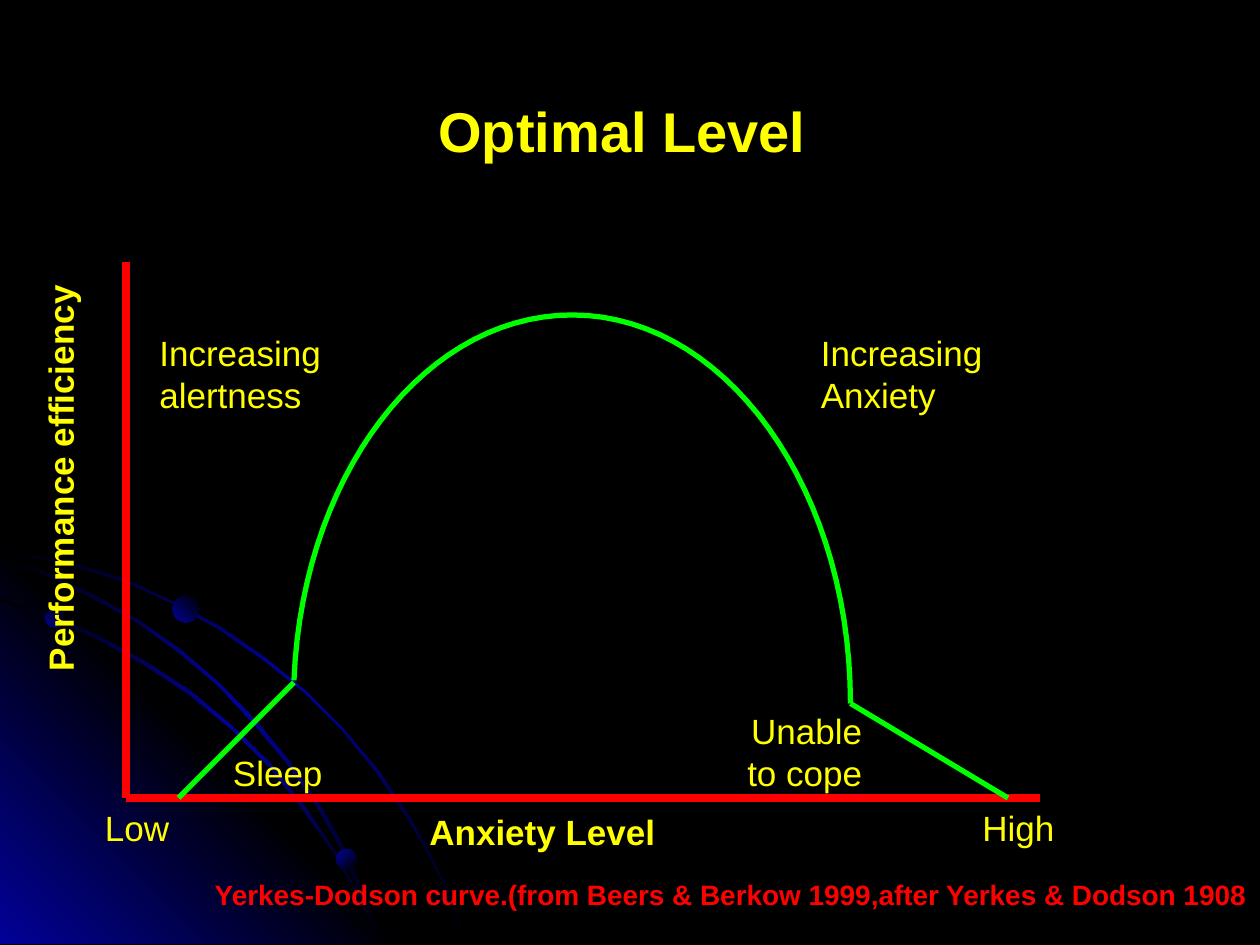
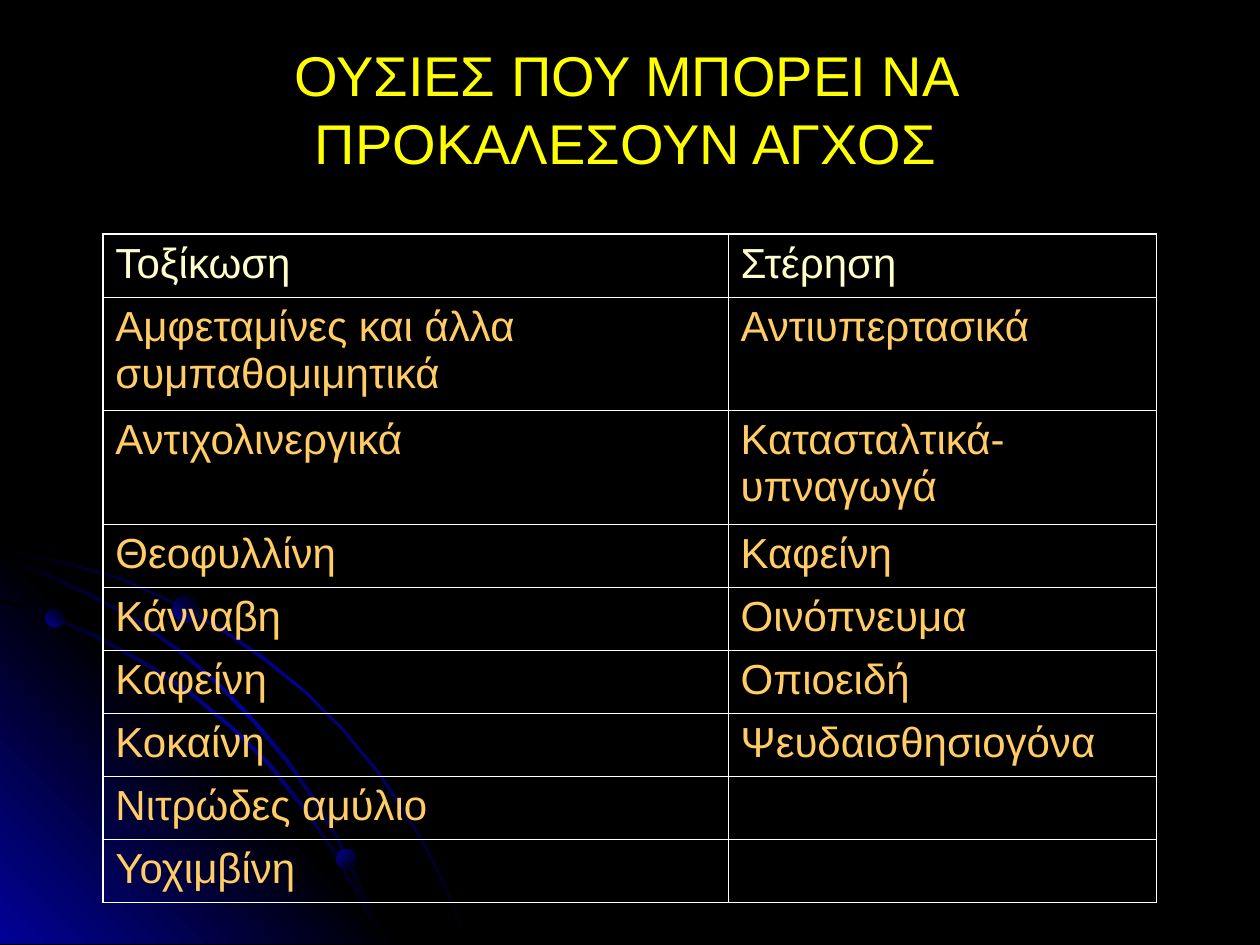
from lxml.etree import SubElement
from pptx import Presentation
from pptx.dml.color import RGBColor
from pptx.enum.shapes import MSO_CONNECTOR, MSO_SHAPE
from pptx.enum.text import MSO_ANCHOR, PP_ALIGN
from pptx.oxml import parse_xml
from pptx.oxml.ns import nsdecls, qn
from pptx.util import Inches, Pt

BLACK = RGBColor(0x00, 0x00, 0x00)
NAVY = RGBColor(0x01, 0x01, 0x99)
YELLOW = RGBColor(0xFF, 0xFF, 0x00)
RED = RGBColor(0xFF, 0x00, 0x00)
GREEN = RGBColor(0x00, 0xFF, 0x00)
CREAM = RGBColor(0xFF, 0xFF, 0xCC)
AMBER = RGBColor(0xFF, 0xCC, 0x66)
WHITE = RGBColor(0xFF, 0xFF, 0xFF)

# The slide is a grid of 120 columns by 90 rows; the backdrop uses 1000 by 750.
CELL = Inches(1) // 12
FINE = Inches(1) // 100

PLAIN = {"name": "Arial", "size": Pt(20), "bold": False}
BOLD = {**PLAIN, "bold": True}
TITLE = {**PLAIN, "size": Pt(32)}
NOTE = {**BOLD, "size": Pt(16)}
BODY = {**PLAIN, "size": Pt(24)}

LEFT, MID, RIGHT = PP_ALIGN.LEFT, PP_ALIGN.CENTER, PP_ALIGN.RIGHT


def shade(shape, tones, angle):
    """Fill a shape with evenly spaced gradient tones and no outline."""
    shape.shadow.inherit = False
    shape.line.fill.background()
    shape.fill.background()
    last = len(tones) - 1
    stops = "".join(
        f'<a:gs pos="{100000 * i // last}"><a:srgbClr val="{tone}"/></a:gs>'
        for i, tone in enumerate(tones))
    blank = shape.element.spPr.find(qn("a:noFill"))
    blank.getparent().replace(blank, parse_xml(
        f'<a:gradFill {nsdecls("a")} rotWithShape="1"><a:gsLst>{stops}</a:gsLst>'
        f'<a:lin ang="{angle * 60000}" scaled="0"/></a:gradFill>'))


def write(slide, area, lines, form=PLAIN, tone=YELLOW, align=RIGHT, wrap=False):
    """Add a text box on the grid, one paragraph for each line."""
    box = slide.shapes.add_textbox(*(round(n * CELL) for n in area))
    frame = box.text_frame
    frame.word_wrap = wrap
    for i, line in enumerate(lines):
        para = frame.add_paragraph() if i else frame.paragraphs[0]
        para.alignment = align
        run = para.add_run()
        run.text = line
        run.font.color.rgb = tone
        for key, value in form.items():
            setattr(run.font, key, value)
    return box


deck = Presentation()
deck.slide_width = 120 * CELL
deck.slide_height = 90 * CELL
layout = deck.slide_layouts[6]
for holder in list(layout.placeholders):
    holder.element.getparent().remove(holder.element)
layout.background.fill.solid()
layout.background.fill.fore_color.rgb = BLACK
graph = deck.slides.add_slide(layout)

# Shared backdrop: a blue corner, three orbits and their dots
GLOW = (BLACK, NAVY, BLACK)
orbits = [
    (GLOW, 45, [
        (57, 447), (28, 441), (0, 435), (0, 438), (28, 443), (56, 449), (97, 461),
        (135, 478), (173, 499), (208, 523), (241, 549), (271, 579), (298, 612),
        (323, 649), (337, 673), (350, 698), (360, 723), (370, 749), (372, 749),
        (362, 723), (352, 698), (339, 673), (325, 648), (300, 611), (272, 578),
        (242, 548), (209, 521), (174, 497), (136, 477), (98, 459)]),
    ((NAVY, BLACK, NAVY), 315, [(322, 749), (0, 749), (0, 427)]),
    (GLOW, 45, [
        (285, 714), (294, 732), (301, 749), (303, 749), (296, 730), (286, 712),
        (266, 676), (242, 640), (215, 606), (184, 576), (152, 549), (117, 526),
        (79, 505), (41, 488), (0, 475), (0, 477), (39, 490), (77, 507), (115, 528),
        (150, 551), (183, 578), (213, 608), (240, 642), (265, 677)]),
    (GLOW, 45, [
        (0, 442), (0, 444), (36, 457), (74, 475), (109, 494), (142, 518), (173, 544),
        (202, 575), (227, 605), (252, 641), (267, 667), (280, 694), (292, 722),
        (301, 749), (303, 749), (294, 720), (282, 693), (269, 665), (254, 639),
        (229, 603), (204, 573), (175, 543), (144, 516), (111, 493), (76, 473),
        (39, 455)]),
]
for tones, angle, points in orbits:
    pen = graph.shapes.build_freeform(*points[0], scale=FINE)
    pen.add_line_segments(points[1:], close=True)
    shade(pen.convert_to_shape(), tones, angle)

for x, y, size, angle in [(36, 483, 15, 315), (267, 674, 16, 45), (137, 473, 21, 315)]:
    dot = graph.shapes.add_shape(
        MSO_SHAPE.OVAL, x * FINE, y * FINE, size * FINE, size * FINE)
    shade(dot, (NAVY, BLACK), angle)

for shape in list(graph.shapes):
    layout.shapes.element.append(shape.element)

# Slide 1: axes, curve and labels
lines = [
    ((12, 25), (12, 76), RED, 4.5),
    ((12, 76), (99, 76), RED, 4.5),
    ((17, 76), (28, 65), GREEN, 3),
    ((81, 67), (96, 76), GREEN, 3),
]
for start, end, tone, width in lines:
    line = graph.shapes.add_connector(
        MSO_CONNECTOR.STRAIGHT, *(n * CELL for n in start + end))
    line.line.color.rgb = tone
    line.line.width = Pt(width)
    SubElement(line.element.spPr, qn("a:effectLst"))

arcs = [
    ((28, 64.8), (28.8, 45.2), (40.4, 30), (54.5, 30)),
    ((54.5, 30), (69.1, 30), (81, 46.5), (81, 67)),
]
STEPS = 30
curve = []
for arc in arcs:
    for step in range(STEPS + 1):
        t = step / STEPS
        parts = ((1 - t) ** 3, 3 * t * (1 - t) ** 2, 3 * t * t * (1 - t), t ** 3)
        curve.append(tuple(
            round(CELL * sum(k * n for k, n in zip(parts, axis))) for axis in zip(*arc)))
pen = graph.shapes.build_freeform(*curve[0])
pen.add_line_segments(curve[1:], close=False)
bell = pen.convert_to_shape()
bell.shadow.inherit = False
bell.fill.background()
bell.line.color.rgb = GREEN
bell.line.width = Pt(3)

write(graph, (39.5, 8.6, 39.5, 7.6), ["Optimal Level"], {**TITLE, "bold": True}, align=MID)
labels = [
    ((7.3, 76.2, 10, 5.2), ["Low"], PLAIN, YELLOW, RIGHT),
    ((90.6, 76.2, 11, 5.2), ["High"], PLAIN, YELLOW, RIGHT),
    ((37.6, 76.6, 26, 5.2), ["Anxiety Level"], BOLD, YELLOW, RIGHT),
    ((77, 31, 19, 9.1), ["Increasing", "Anxiety"], PLAIN, YELLOW, LEFT),
    ((14, 31, 19, 9.1), ["Increasing", "alertness"], PLAIN, YELLOW, LEFT),
    ((68.3, 67, 15, 9.1), ["Unable", "to cope"], PLAIN, YELLOW, RIGHT),
    ((18.9, 71, 13, 5.2), ["Sleep"], PLAIN, YELLOW, RIGHT),
    ((17.9, 83, 102, 4.3),
     ["Yerkes-Dodson curve.(from Beers & Berkow 1999,after Yerkes & Dodson 1908"],
     NOTE, RED, RIGHT),
]
for label in labels:
    write(graph, *label, wrap=True)

side = write(graph, (3.1, 26, 6.4, 38), ["Performance efficiency"], BOLD)
side.element.txBody.bodyPr.set("vert", "vert270")
frame = side.text_frame
for edge in ("left", "right", "top", "bottom"):
    setattr(frame, f"margin_{edge}", Inches(0.05))

# Slide 2: table of substances
drugs = deck.slides.add_slide(layout)
head = write(drugs, (8.1, 3.4, 103, 13.8), ["ΟΥΣΙΕΣ ΠΟΥ ΜΠΟΡΕΙ ΝΑ ΠΡΟΚΑΛΕΣΟΥΝ ΑΓΧΟΣ"],
             TITLE, align=MID, wrap=True)
head.text_frame.vertical_anchor = MSO_ANCHOR.MIDDLE

rows = [
    ("Τοξίκωση", "Στέρηση"),
    ("Αμφεταμίνες και άλλα συμπαθομιμητικά", "Αντιυπερτασικά"),
    ("Αντιχολινεργικά", "Κατασταλτικά-υπναγωγά"),
    ("Θεοφυλλίνη", "Καφείνη"),
    ("Κάνναβη", "Οινόπνευμα"),
    ("Καφείνη", "Οπιοειδή"),
    ("Κοκαίνη", "Ψευδαισθησιογόνα"),
    ("Νιτρώδες αμύλιο", ""),
    ("Υοχιμβίνη", ""),
]
TALL = (1, 2)
wide = [round(n * CELL) for n in (59.55, 40.8)]
high = [round((10.8 if r in TALL else 6) * CELL) for r in range(len(rows))]
grid = drugs.shapes.add_table(
    len(rows), 2, round(9.8 * CELL), round(22.3 * CELL), sum(wide), sum(high))
table = grid.table
table.first_row = table.horz_banding = False
for col, width in zip(table.columns, wide):
    col.width = width
for row, height in zip(table.rows, high):
    row.height = height

for i, (cell, node) in enumerate(zip(table.iter_cells(), grid.element.iter(qn("a:tc")))):
    r, c = divmod(i, 2)
    cell.fill.background()
    cell.text = rows[r][c]
    font = cell.text_frame.paragraphs[0].font
    font.color.rgb = AMBER if r else CREAM
    for key, value in BODY.items():
        setattr(font, key, value)
    outer = {"L": c == 0, "R": c == 1, "T": r == 0, "B": r == len(rows) - 1}
    for spot, (edge, thick) in enumerate(outer.items()):
        node.tcPr.insert(spot, parse_xml(
            f'<a:ln{edge} {nsdecls("a")} w="{Pt(1.08 if thick else 0.45)}">'
            f'<a:solidFill><a:srgbClr val="{WHITE}"/></a:solidFill></a:ln{edge}>'))

deck.save("out.pptx")
